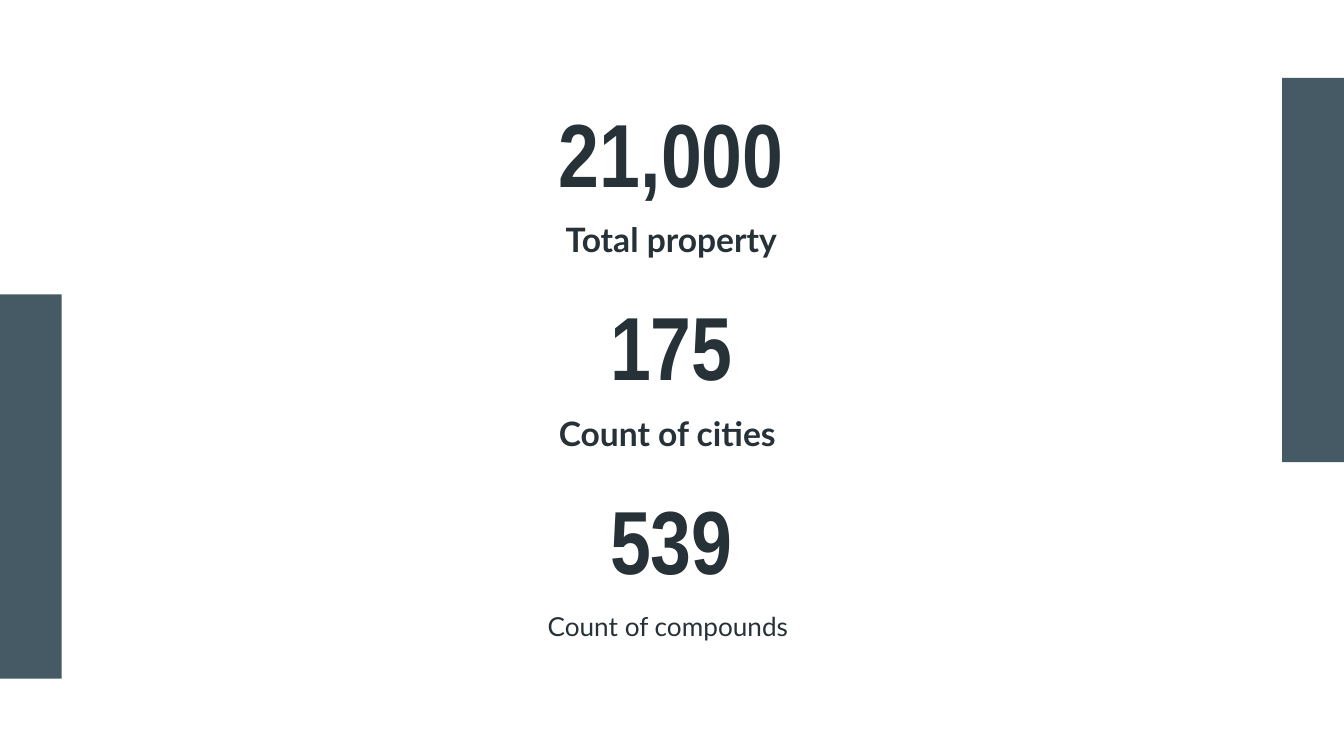
from dataclasses import dataclass

import pptx
import pptx.dml.color
import pptx.enum.shapes
import pptx.enum.text
import pptx.util

Pt = pptx.util.Pt
INK = "263238"
SLATE = "455A64"
WIDE, HIGH = 720, 405
LEFT, SPAN = 133.2, 452.9
TOP, PITCH = 51.84, 103.68
HEAD, FOOT = 58.32, 36
INSET = 7.2


@dataclass
class Stat:
    value: str
    label: str
    size: float = 18
    bold: bool = True


@dataclass
class Bar:
    left: float
    top: float
    width: float = 33.12
    height: float = 205.92


STATS = [
    Stat("21,000", "Total property"),
    Stat("175", "Count of cities "),
    Stat("539", "Count of compounds ", 14, False),
]
BARS = [Bar(WIDE - 33.12, 41.76), Bar(0, 157.68)]


def color(code: str) -> pptx.dml.color.RGBColor:
    return pptx.dml.color.RGBColor.from_string(code)


def apply(item, style: dict) -> None:
    for name, value in style.items():
        setattr(item, name, value)


def write(slide, text: str, top: float, height: float, font: dict) -> None:
    box = slide.shapes.add_textbox(Pt(LEFT), Pt(top), Pt(SPAN), Pt(height))
    frame = box.text_frame
    apply(frame, {
        "word_wrap": True,
        "vertical_anchor": pptx.enum.text.MSO_ANCHOR.MIDDLE,
        "margin_left": Pt(INSET),
        "margin_right": Pt(INSET),
        "margin_top": Pt(INSET),
        "margin_bottom": Pt(INSET),
    })
    para = frame.paragraphs[0]
    para.alignment = pptx.enum.text.PP_ALIGN.CENTER
    run = para.add_run()
    run.text = text
    apply(run.font, font)
    run.font.color.rgb = color(INK)


def draw_stat(slide, stat: Stat, top: float) -> None:
    big = {"name": "Arial Narrow", "size": Pt(48), "bold": True}
    small = {"name": "Lato", "size": Pt(stat.size), "bold": stat.bold}
    write(slide, stat.value, top, HEAD, big)
    write(slide, stat.label, top + HEAD, FOOT, small)


def draw_bar(slide, bar: Bar) -> None:
    shape = slide.shapes.add_shape(
        pptx.enum.shapes.MSO_SHAPE.RECTANGLE,
        Pt(bar.left), Pt(bar.top), Pt(bar.width), Pt(bar.height))
    shape.shadow.inherit = False
    shape.fill.solid()
    shape.fill.fore_color.rgb = color(SLATE)
    shape.line.fill.background()


def main() -> None:
    deck = pptx.Presentation()
    apply(deck, {"slide_width": Pt(WIDE), "slide_height": Pt(HIGH)})
    slide = deck.slides.add_slide(deck.slide_layouts[6])
    for row, stat in enumerate(STATS):
        draw_stat(slide, stat, TOP + row * PITCH)
    for bar in BARS:
        draw_bar(slide, bar)
    deck.save("out.pptx")


if __name__ == "__main__":
    main()
